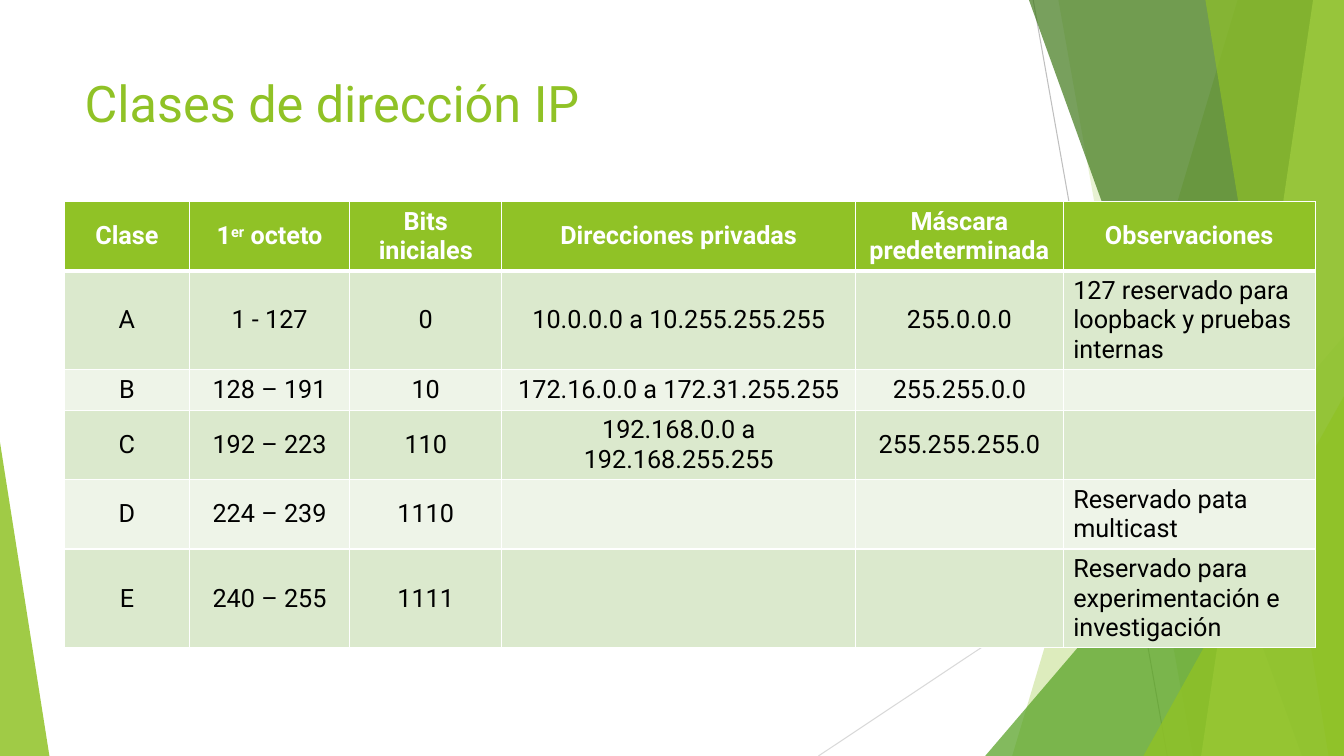
from lxml.etree import SubElement
from pptx import Presentation
from pptx.dml.color import RGBColor
from pptx.enum.shapes import MSO_CONNECTOR as Connector, MSO_SHAPE as Shape
from pptx.enum.text import MSO_ANCHOR as Anchor, MSO_AUTO_SIZE as AutoSize, PP_ALIGN as Align
from pptx.oxml.ns import qn
from pptx.util import Pt

WIDTH, HEIGHT = 960, 540
GREEN, WHITE, BLACK = "90C226", "FFFFFF", "000000"
BANDS = ("DBE9CD", "EEF4E8")

GUIDE_LINES = [
    ((738, 0), (833.8, HEIGHT), "BFBFBF"),
    ((WIDTH, 290.2), (584.6, HEIGHT), "D9D9D9"),
]
# Each ray runs from its top x to its bottom x and fills out to the right edge.
BACK_RAYS = [(884.2, 722.9, GREEN, 30), (756, 851.8, GREEN, 20)]
FRONT_RAYS = [
    (735.1, 929.5, "3F7819", 70),
    (938.2, 858.2, "C0E474", 70),
    (861.1, 949, GREEN, 65),
]

COLUMN_WIDTHS = [89.3, 114.5, 108.7, 252.7, 148.3, 180]
ROW_HEIGHT = 29.2
HEADER = ["Clase", ["1", "er", " octeto"], "Bits iniciales", "Direcciones privadas",
          "Máscara predeterminada", "Observaciones"]
CLASSES = [
    ["A", "1 - 127", "0", "10.0.0.0 a 10.255.255.255", "255.0.0.0",
     "127 reservado para loopback y pruebas internas"],
    ["B", "128 – 191", "10", "172.16.0.0 a 172.31.255.255", "255.255.0.0", ""],
    ["C", "192 – 223", "110", "192.168.0.0 a 192.168.255.255", "255.255.255.0", ""],
    ["D", "224 – 239", "1110", "", "", "Reservado pata multicast"],
    ["E", "240 – 255", "1111", "", "", "Reservado para experimentación e investigación"],
]


def rgb(value):
    return RGBColor.from_string(value)


def apply_format(target, values):
    for name, value in values.items():
        setattr(target, name, value)


class SlideBuilder:
    def __init__(self, slide, font_name):
        self.slide = slide
        self.shapes = slide.shapes
        self.font_name = font_name

    def style_font(self, font, size, color, bold=False):
        apply_format(font, {"name": self.font_name, "size": Pt(size), "bold": bold})
        font.color.rgb = rgb(color)

    def guide_line(self, start, end, color):
        line = self.shapes.add_connector(
            Connector.STRAIGHT, *(Pt(length) for length in (*start, *end)))
        line.line.color.rgb = rgb(color)
        line.line.width = Pt(0.75)
        SubElement(line._element.spPr, qn("a:effectLst"))

    def tint(self, shape, color, opacity):
        """Fill a shape without outline, with opacity in percent."""
        shape.shadow.inherit = False
        shape.line.fill.background()
        shape.fill.solid()
        shape.fill.fore_color.rgb = rgb(color)
        color_element = shape._element.spPr.find(qn("a:solidFill"))[0]
        SubElement(color_element, qn("a:alpha"), val=str(opacity * 1000))

    def ray(self, top_x, bottom_x, color, opacity):
        outline = self.shapes.build_freeform(top_x, 0, scale=Pt(1))
        outline.add_line_segments([(WIDTH, 0), (WIDTH, HEIGHT), (bottom_x, HEIGHT)])
        self.tint(outline.convert_to_shape(), color, opacity)

    def corner(self, left, top, width, apex, color, opacity):
        """Triangle standing on the slide's bottom edge; apex is 0 left to 1 right."""
        triangle = self.shapes.add_shape(
            Shape.ISOSCELES_TRIANGLE, Pt(left), Pt(top), Pt(width), Pt(HEIGHT - top))
        triangle.adjustments[0] = apex
        self.tint(triangle, color, opacity)

    def title(self, text, left, top, width, height):
        heading = self.shapes.title
        apply_format(heading, {"left": Pt(left), "top": Pt(top),
                               "width": Pt(width), "height": Pt(height)})
        frame = heading.text_frame
        frame.text = text
        apply_format(frame, {"vertical_anchor": Anchor.TOP, "word_wrap": True,
                             "auto_size": AutoSize.NONE})
        paragraph = frame.paragraphs[0]
        paragraph.alignment = Align.LEFT
        self.style_font(paragraph.runs[0].font, 36, GREEN)
        # Bring the title in front of the background shapes.
        self.shapes._spTree.append(heading._element)

    def borders(self, cell, widths):
        properties = cell._tc.get_or_add_tcPr()
        for side, width in widths.items():
            border = SubElement(properties, qn(f"a:ln{side}"), w=str(Pt(width)))
            fill = SubElement(border, qn("a:solidFill"))
            SubElement(fill, qn("a:srgbClr"), val=WHITE)

    def cell(self, cell, content, fill, color, bold, align, widths):
        """Fill in a cell; a list of three parts has its second one raised."""
        self.borders(cell, widths)
        cell.fill.solid()
        cell.fill.fore_color.rgb = rgb(fill)
        cell.vertical_anchor = Anchor.MIDDLE
        paragraph = cell.text_frame.paragraphs[0]
        paragraph.alignment = align
        self.style_font(paragraph.font, 18, color, bold)
        parts = [content] if isinstance(content, str) else content
        for index, part in enumerate(filter(None, parts)):
            run = paragraph.add_run()
            run.text = part
            self.style_font(run.font, 18, color, bold)
            if index == 1:
                run.font._element.set("baseline", "30000")

    def table(self, rows, left, top):
        grid = self.shapes.add_table(
            len(rows), len(COLUMN_WIDTHS), Pt(left), Pt(top),
            Pt(sum(COLUMN_WIDTHS)), Pt(ROW_HEIGHT * len(rows))).table
        for column, width in zip(grid.columns, COLUMN_WIDTHS):
            column.width = Pt(width)
        for r, row in enumerate(rows):
            is_header = r == 0
            fill = GREEN if is_header else BANDS[(r - 1) % 2]
            color = WHITE if is_header else BLACK
            widths = {"L": 1, "R": 1, "T": 3 if r == 1 else 1, "B": 3 if is_header else 1}
            for c, content in enumerate(row):
                is_note = not is_header and c == len(row) - 1
                align = Align.LEFT if is_note else Align.CENTER
                self.cell(grid.cell(r, c), content, fill, color, is_header, align, widths)


def main():
    deck = Presentation()
    deck.slide_width, deck.slide_height = Pt(WIDTH), Pt(HEIGHT)
    builder = SlideBuilder(deck.slides.add_slide(deck.slide_layouts[5]), "Roboto")

    for guide in GUIDE_LINES:
        builder.guide_line(*guide)
    for ray in BACK_RAYS:
        builder.ray(*ray)
    builder.corner(703.7, 240, 256.3, 1, "54A021", 72)
    for ray in FRONT_RAYS:
        builder.ray(*ray)
    builder.corner(816.7, 283, 143.3, 1, GREEN, 80)
    builder.corner(0, 316, 35.3, 0, GREEN, 85)

    builder.title("Clases de dirección IP", 53.3, 48, 676.8, 104)
    builder.table([HEADER, *CLASSES], 46, 144)
    deck.save("out.pptx")


if __name__ == "__main__":
    main()
